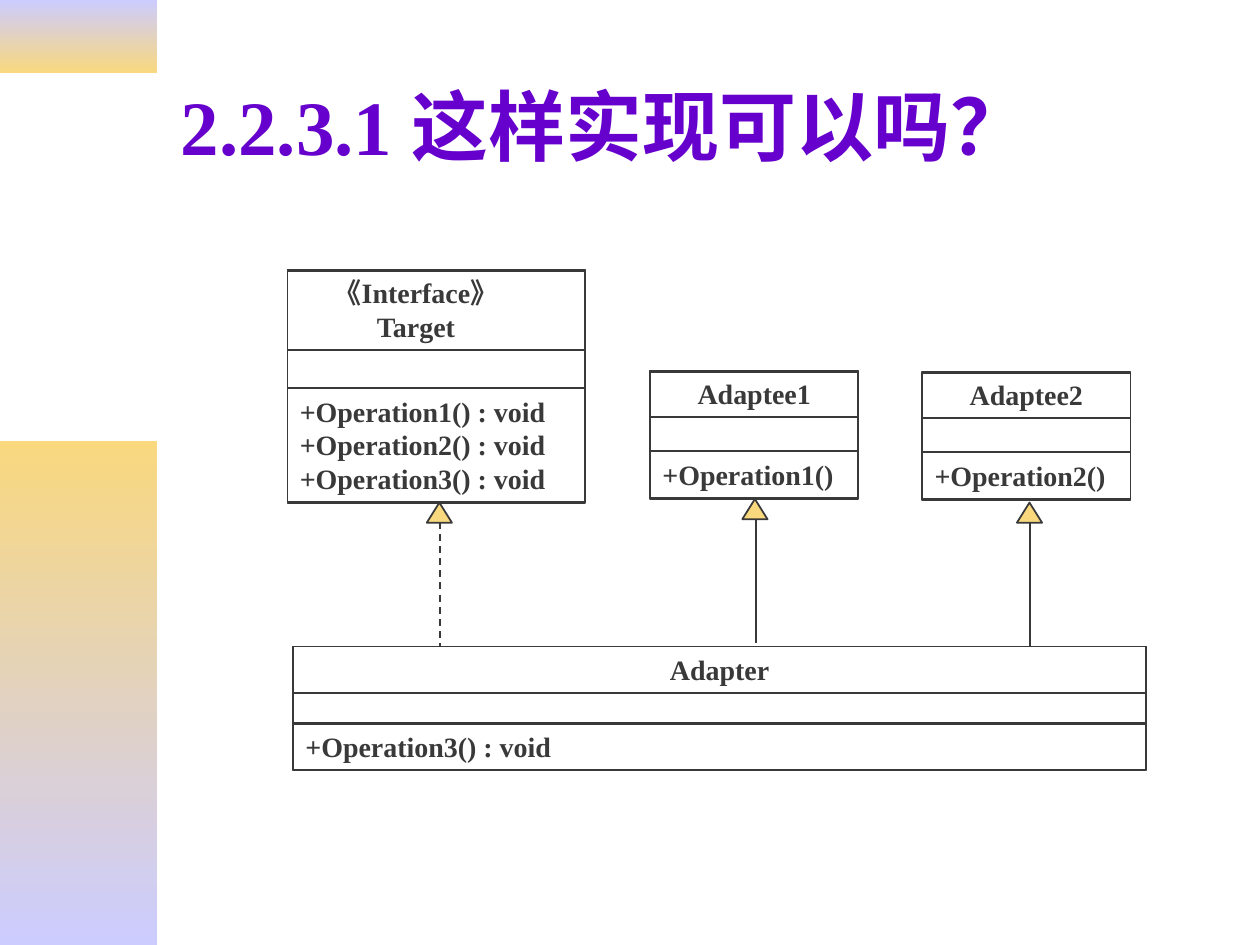
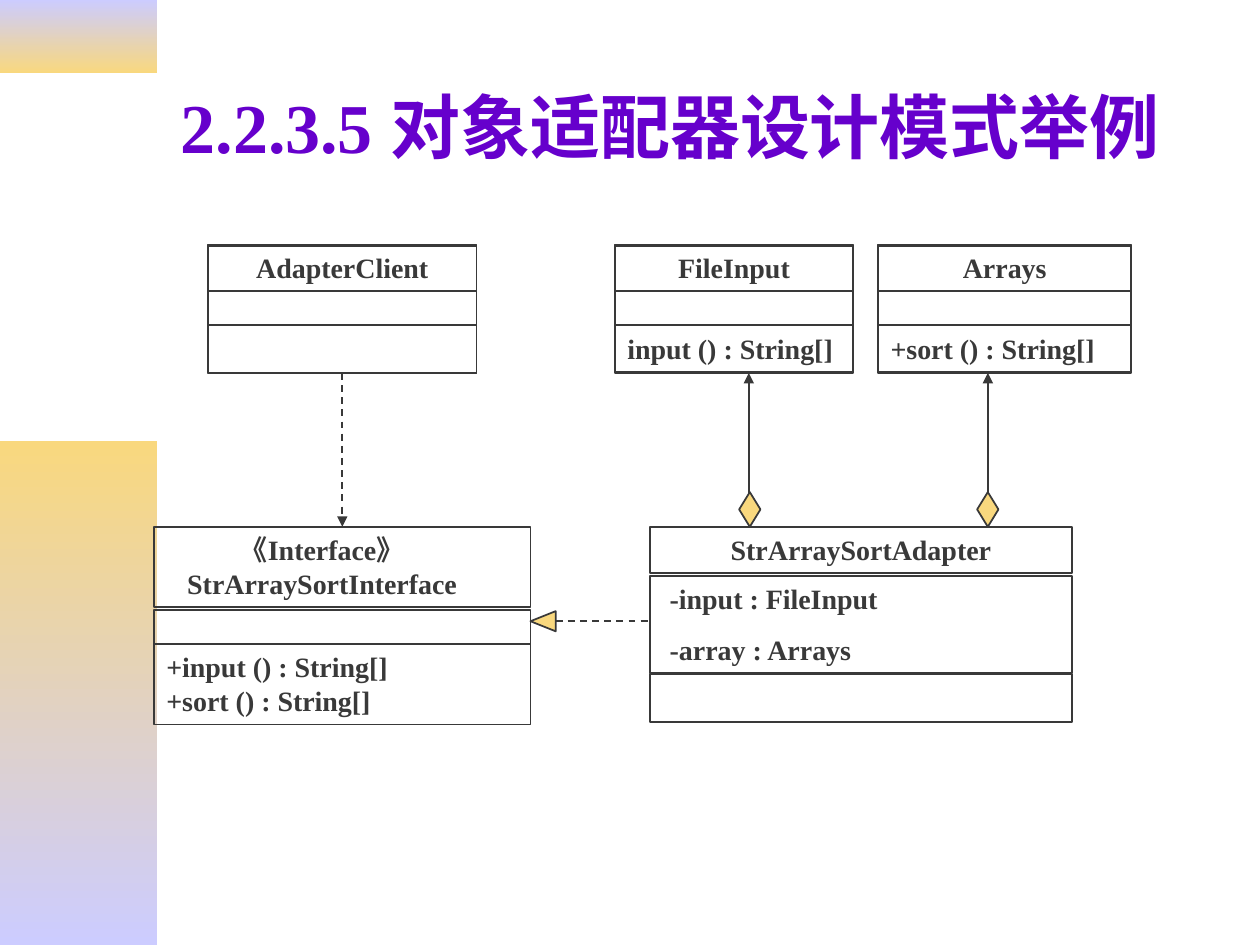
import pptx
import pptx.util
import pptx.dml.color
import pptx.enum.dml
import pptx.enum.shapes
import pptx.enum.text
from lxml import etree

Pt = pptx.util.Pt
Kind = pptx.enum.shapes.MSO_SHAPE
Align = pptx.enum.text.PP_ALIGN
Anchor = pptx.enum.text.MSO_ANCHOR
Dash = pptx.enum.dml.MSO_LINE
NS = "http://schemas.openxmlformats.org/drawingml/2006/main"
FONT = "Times New Roman"
COLORS = {"ink": "393939", "title": "6600CC", "gold": "F9D87E", "lilac": "CCCCFF"}
RGB = {name: pptx.dml.color.RGBColor.from_string(code) for name, code in COLORS.items()}

BANDS = [(0, 42, "lilac", "gold"), (252, 288, "gold", "lilac")]

PAGES = [
    {
        "title": "2.2.3.1 这样实现可以吗？",
        "size": 44,
        "boxes": [
            (164.2, 170, [
                (154.8, 132.5, "", ""),
                (154.1, 46.1, "《Interface》\nTarget", "head"),
                (221.8, 64.8, "+Operation1() : void\n+Operation2() : void\n+Operation3() : void", "list"),
            ]),
            (371.5, 119, [
                (212.4, 72.7, "", ""),
                (211.7, 26.6, "Adaptee1", "head"),
                (257.8, 26.6, "+Operation1()", "list"),
            ]),
            (527, 119, [
                (213.1, 72.7, "", ""),
                (212.4, 26.6, "Adaptee2", "head"),
                (258.5, 26.6, "+Operation2()", "list"),
            ]),
            (167.5, 487.5, [
                (369.4, 70.6, "", ""),
                (369.4, 26.6, "Adapter", "head"),
                (396, 18, "", ""),
                (413.3, 26.6, "+Operation3() : void", "list"),
            ]),
        ],
        "marks": [
            (Kind.FLOWCHART_EXTRACT, 243.9, 287.2, 14.4, 11.5, 0),
            (Kind.FLOWCHART_EXTRACT, 424.2, 285.2, 14.4, 11.5, 0),
            (Kind.FLOWCHART_EXTRACT, 581.1, 287.2, 14.4, 11.5, 0),
        ],
        "lines": [
            (251.3, 298.1, 251.3, 369.4, True, False, None),
            (432, 296.7, 432, 367.5, False, False, None),
            (588.7, 298.1, 588.7, 369.4, False, False, None),
        ],
    },
    {
        "title": "2.2.3.5 对象适配器设计模式举例",
        "size": 40,
        "boxes": [
            (88, 215.2, [
                (348.5, 19.4, "", ""),
                (301, 46.1, "《Interface》\nStrArraySortInterface", "head"),
                (367.9, 46.1, "+input () : String[]\n+sort () : String[]", "list"),
            ]),
            (351.4, 136.1, [
                (140.4, 72.7, "", ""),
                (139.7, 26.6, "FileInput", "head"),
                (185.8, 26.6, "input () : String[]", "list"),
            ]),
            (501.8, 144.7, [
                (140.4, 72.7, "", ""),
                (139.7, 26.6, "Arrays", "head"),
                (185.8, 26.6, "+sort () : String[]", "list"),
            ]),
            (371.5, 241, [
                (301, 26.6, "StrArraySortAdapter", "head"),
                (385.2, 27.4, "", ""),
                (329, 55.5, "-input : FileInput\n-array : Arrays", "fields"),
            ]),
            (118.9, 153.4, [
                (140.4, 72.7, "", ""),
                (139.7, 26.6, "AdapterClient", "head"),
                (185.8, 27.4, "", ""),
            ]),
        ],
        "marks": [
            (Kind.FLOWCHART_EXTRACT, 304.6, 347.8, 11.5, 14.4, 270),
            (Kind.DIAMOND, 422.4, 281.2, 12.2, 19.8, 0),
            (Kind.DIAMOND, 558.4, 281.2, 12.2, 19.8, 0),
        ],
        "lines": [
            (427.9, 284.4, 427.9, 213.1, False, True, None),
            (564.5, 284.4, 564.5, 213.1, False, True, None),
            (195.6, 213.1, 195.6, 301, True, True, ((118.9, 140.4), (88, 301))),
            (317.5, 355, 371.5, 355, True, False, None),
        ],
    },
]


def draw(shapes, kind, left, top, width, height):
    shape = shapes.add_shape(kind, Pt(left), Pt(top), Pt(width), Pt(height))
    shape.shadow.inherit = False
    shape.fill.background()
    shape.line.color.rgb = RGB["ink"]
    shape.line.width = Pt(1)
    return shape


def style(par, size, color, align):
    par.alignment = align
    for run in par.runs:
        run.font.name = FONT
        run.font.size = Pt(size)
        run.font.bold = True
        run.font.color.rgb = RGB[color]


deck = pptx.Presentation()
deck.slide_width, deck.slide_height = Pt(720), Pt(540)
layout = deck.slide_layouts[5]

for page in PAGES:
    slide = deck.slides.add_slide(layout)
    shapes = slide.shapes

    if page is PAGES[0]:
        for num, (top, height, start, stop) in enumerate(BANDS):
            band = draw(shapes, Kind.RECTANGLE, 0, top, 90, height)
            band.line.fill.background()
            band.fill.gradient()
            band.fill.gradient_angle = 270
            for point, color in zip(band.fill.gradient_stops, (start, stop)):
                point.color.rgb = RGB[color]
            band.element.nvSpPr.cNvPr.set("id", str(20 + num))
            layout.shapes.element.append(band.element)

    title = shapes.title
    title.left, title.top, title.width, title.height = Pt(96), Pt(24), Pt(612), Pt(95)
    title.text_frame.text = page["title"]
    title.text_frame.vertical_anchor = Anchor.MIDDLE
    title.text_frame.auto_size = pptx.enum.text.MSO_AUTO_SIZE.NONE
    style(title.text_frame.paragraphs[0], page["size"], "title", Align.LEFT)

    cells = {}
    for left, width, parts in page["boxes"]:
        for top, height, text, role in parts:
            cell = draw(shapes, Kind.RECTANGLE, left, top, width, height)
            cells[left, top] = cell
            if not text:
                continue
            frame = cell.text_frame
            frame.text = text
            frame.word_wrap = True
            frame.vertical_anchor = Anchor.TOP
            frame.margin_left = Pt(11.2 if role == "fields" else 7.2)
            for num, par in enumerate(frame.paragraphs):
                style(par, 16, "ink", Align.CENTER if role == "head" else Align.LEFT)
                if role == "fields" and num:
                    par.space_before = Pt(10)
                if par.text.startswith("《"):
                    par._p.get_or_add_pPr().set("marR", str(Pt(23)))

    for x1, y1, x2, y2, dashed, arrow, ends in page["lines"]:
        line = shapes.add_connector(
            pptx.enum.shapes.MSO_CONNECTOR.STRAIGHT, Pt(x1), Pt(y1), Pt(x2), Pt(y2))
        line.line.color.rgb = RGB["ink"]
        line.line.width = Pt(1)
        if dashed:
            line.line.dash_style = Dash.DASH
        if arrow:
            etree.SubElement(line.line._get_or_add_ln(), f"{{{NS}}}tailEnd", type="triangle")
        etree.SubElement(line.element.spPr, f"{{{NS}}}effectLst")
        if ends:
            line.begin_connect(cells[ends[0]], 2)
            line.end_connect(cells[ends[1]], 0)

    for kind, left, top, width, height, turn in page["marks"]:
        mark = draw(shapes, kind, left, top, width, height)
        mark.rotation = turn
        mark.fill.solid()
        mark.fill.fore_color.rgb = RGB["gold"]

deck.save("out.pptx")
